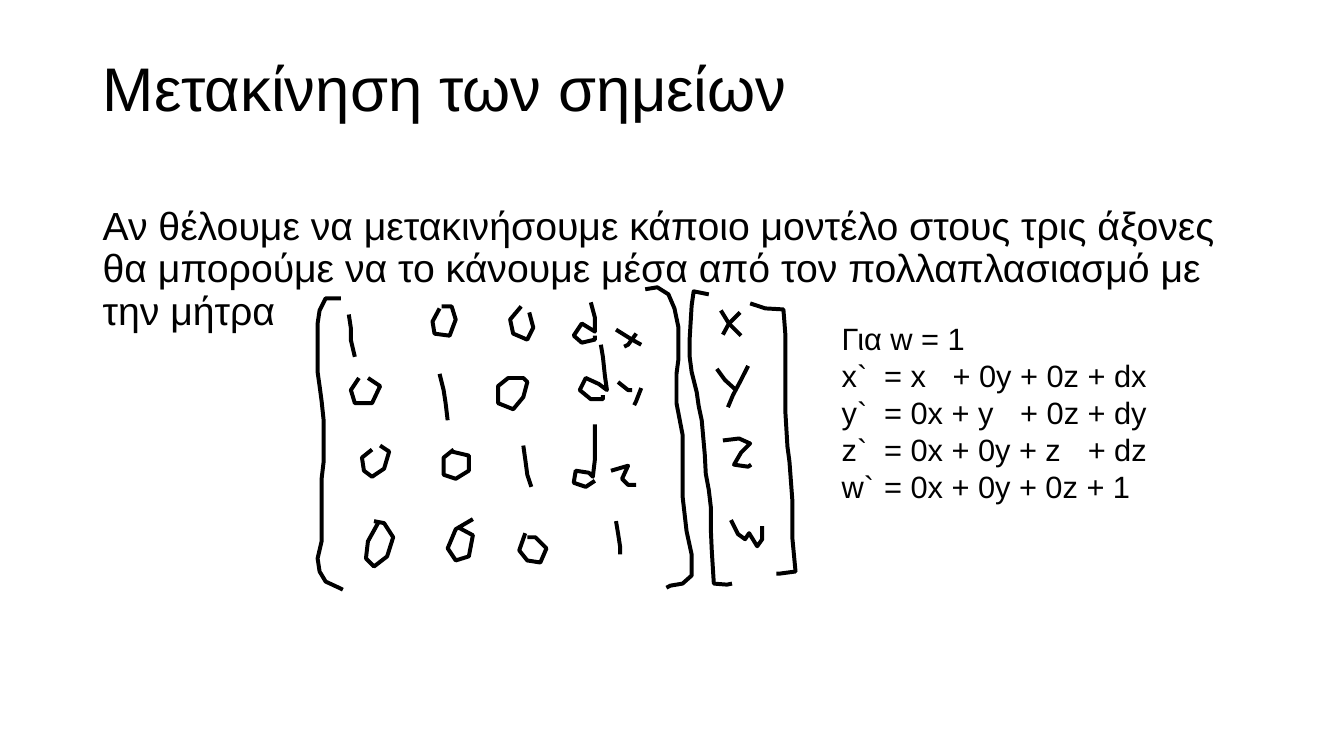
from lxml.etree import SubElement
from pptx import Presentation
from pptx.dml.color import RGBColor
from pptx.enum.text import MSO_ANCHOR
from pptx.oxml.ns import qn
from pptx.util import Inches, Pt

BRACKETS = [
    [(640, 287), (652, 285), (663, 292), (669, 306), (673, 325), (673, 356),
     (671, 371), (671, 400), (677, 431), (677, 492), (681, 527), (686, 550),
     (686, 571), (677, 579), (665, 581), (661, 583)],
    [(338, 296), (323, 296), (317, 308), (315, 321), (315, 369), (317, 383),
     (319, 398), (321, 417), (321, 458), (319, 475), (319, 537), (315, 554),
     (317, 567), (323, 577), (336, 583), (340, 585)],
    [(703, 292), (688, 289), (686, 303), (684, 336), (684, 354), (686, 369),
     (691, 389), (693, 403), (696, 417), (699, 451), (700, 470), (703, 486),
     (705, 503), (705, 525), (706, 547), (708, 579), (721, 580), (726, 579)],
    [(744, 301), (759, 306), (777, 307), (779, 333), (779, 410), (781, 443),
     (783, 458), (786, 498), (786, 535), (789, 567), (774, 569), (770, 569)],
]
ONES = [
    [(346, 312), (348, 325), (348, 337), (352, 354)],
    [(436, 371), (440, 387), (442, 400), (444, 417)],
    [(519, 442), (521, 456), (523, 471), (527, 483)],
    [(611, 517), (613, 529), (615, 542), (615, 550)],
]
ZEROS = [
    [(436, 306), (429, 319), (431, 331), (446, 333), (452, 317), (448, 304),
     (438, 304)],
    [(517, 304), (506, 317), (509, 331), (523, 337), (529, 325), (525, 310)],
    [(519, 375), (504, 375), (494, 383), (494, 400), (509, 406), (519, 394),
     (523, 379), (519, 375)],
    [(450, 446), (440, 454), (440, 471), (452, 475), (465, 467), (465, 452),
     (448, 448)],
    [(356, 375), (348, 387), (352, 400), (369, 400), (377, 383), (365, 375)],
    [(369, 446), (359, 454), (361, 467), (369, 473), (381, 465), (386, 448),
     (377, 442)],
    [(375, 519), (365, 537), (363, 554), (371, 562), (384, 552), (390, 533),
     (381, 519), (371, 517)],
    [(469, 515), (452, 525), (444, 544), (452, 556), (465, 552), (469, 531),
     (454, 523)],
    [(521, 529), (515, 546), (523, 556), (536, 558), (542, 544), (531, 533),
     (523, 533)],
]
OFFSETS = [
    [(586, 300), (590, 315), (590, 329), (577, 321), (569, 333), (577, 340),
     (590, 337), (590, 333)],
    [(611, 327), (627, 337), (636, 342)],
    [(631, 331), (623, 342), (619, 344)],
    [(596, 342), (598, 354), (600, 373), (602, 387), (594, 381), (581, 375),
     (575, 387), (586, 396), (598, 396), (598, 392)],
    [(613, 379), (623, 387), (627, 387)],
    [(636, 385), (631, 398), (629, 402)],
    [(590, 421), (590, 456), (588, 473), (584, 469), (571, 467), (569, 479),
     (581, 483), (590, 477)],
    [(606, 467), (623, 462), (617, 475), (623, 481), (631, 481)],
]
VECTOR = [
    [(715, 308), (723, 321), (735, 333)],
    [(734, 310), (723, 321), (717, 332)],
    [(711, 366), (719, 377), (730, 387)],
    [(742, 363), (735, 377), (727, 392), (722, 404)],
    [(717, 437), (733, 435), (744, 440), (735, 449), (728, 461), (742, 463),
     (745, 461)],
    [(725, 516), (732, 530), (739, 535), (743, 529), (751, 542), (756, 535),
     (756, 522)],
]
EQUATIONS = [
    "Για w = 1\vx`\t= x\t+ 0y + 0z + dx",
    "y`\t= 0x + y\t+ 0z + dy",
    "z`\t= 0x + 0y + z\t+ dz",
    "w`\t= 0x + 0y + 0z + 1",
]
EQUATION_TABS = [0.42, 1.1, 1.77, 2.44]


def color(value):
    return RGBColor.from_string(value)


class SlideWriter:
    font = "Arial"
    ink = "000000"
    stroke_width = 2.83
    units_per_inch = 100

    def __init__(self, slide):
        self.slide = slide

    def text(self, lines, left, top, width, height, size, spacing=1,
             before=0, anchor=MSO_ANCHOR.TOP, tabs=()):
        box = self.slide.shapes.add_textbox(
            Inches(left), Inches(top), Inches(width), Inches(height))
        frame = box.text_frame
        frame.word_wrap = True
        frame.vertical_anchor = anchor
        for index, line in enumerate(lines):
            paragraph = frame.add_paragraph() if index else frame.paragraphs[0]
            paragraph.text = line
            paragraph.line_spacing = spacing
            paragraph.space_before = Pt(before)
            if tabs:
                self.tab_stops(paragraph, tabs)
            for run in paragraph.runs:
                run.font.name = self.font
                run.font.size = Pt(size)
                run.font.color.rgb = color(self.ink)

    def tab_stops(self, paragraph, positions):
        properties = paragraph._p.get_or_add_pPr()
        stops = SubElement(properties, qn("a:tabLst"))
        for position in positions:
            SubElement(stops, qn("a:tab"), pos=str(Inches(position)), algn="l")

    def stroke(self, points):
        builder = self.slide.shapes.build_freeform(
            *points[0], scale=Inches(1) / self.units_per_inch)
        builder.add_line_segments(points[1:], close=False)
        outline = builder.convert_to_shape()
        outline.shadow.inherit = False
        outline.fill.background()
        outline.line.color.rgb = color(self.ink)
        outline.line.width = Pt(self.stroke_width)


def main():
    presentation = Presentation()
    presentation.slide_width = Inches(13.33)
    presentation.slide_height = Inches(7.5)
    writer = SlideWriter(
        presentation.slides.add_slide(presentation.slide_layouts[6]))

    writer.text(["Μετακίνηση των σημείων"], 0.92, 0.4, 9.21, 1.02, 44,
                spacing=0.9, anchor=MSO_ANCHOR.MIDDLE)
    writer.text(["Αν θέλουμε να μετακινήσουμε κάποιο μοντέλο στους τρις άξονες "
                 "θα μπορούμε να το κάνουμε μέσα από τον πολλαπλασιασμό με "
                 "την μήτρα"], 0.92, 2, 11.5, 1.36, 28, spacing=0.9, before=10)
    for part in (BRACKETS, ONES, ZEROS, OFFSETS, VECTOR):
        for points in part:
            writer.stroke(points)
    writer.text(EQUATIONS, 8.25, 3.12, 4.99, 1.93, 22, tabs=EQUATION_TABS)

    presentation.save("out.pptx")


if __name__ == "__main__":
    main()
